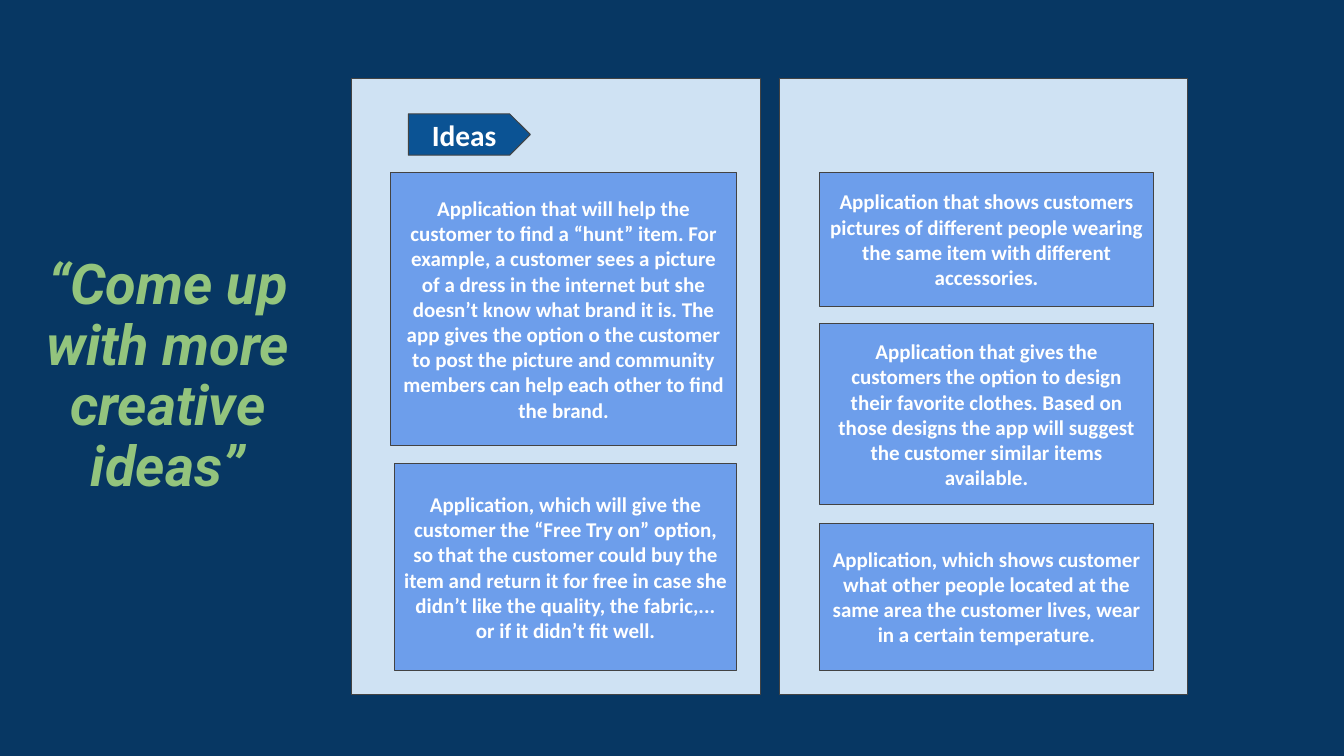
from pptx import Presentation
from pptx.dml.color import RGBColor
from pptx.enum.shapes import MSO_SHAPE as Shape
from pptx.enum.text import MSO_ANCHOR as Anchor, PP_ALIGN as Align
from pptx.util import Inches, Pt

NAVY = RGBColor(0x07, 0x37, 0x63)
PALE = RGBColor(0xCF, 0xE2, 0xF3)
BLUE = RGBColor(0x6D, 0x9E, 0xEB)
DEEP = RGBColor(0x0B, 0x53, 0x94)
GREY = RGBColor(0x43, 0x43, 0x43)
GREEN = RGBColor(0x93, 0xC4, 0x7D)
WHITE = RGBColor(0xFF, 0xFF, 0xFF)

deck = Presentation()
deck.slide_width, deck.slide_height = Inches(13.33), Inches(7.5)
slide = deck.slides.add_slide(deck.slide_layouts[6])
slide.background.fill.solid()
slide.background.fill.fore_color.rgb = NAVY


def write(shape, text, size=15, font="Calibri", color=WHITE, italic=False, space=1.0, inset=0.1):
    frame = shape.text_frame
    frame.word_wrap = True
    frame.vertical_anchor = Anchor.MIDDLE
    frame.margin_left = frame.margin_right = Inches(0.1)
    frame.margin_top = frame.margin_bottom = Inches(inset)
    para = frame.paragraphs[0]
    para.alignment = Align.CENTER
    para.line_spacing = space
    run = para.add_run()
    run.text = text
    run.font.size = Pt(size)
    run.font.name = font
    run.font.bold = True
    run.font.italic = italic
    run.font.color.rgb = color


def draw(kind, left, top, width, height, fill):
    shape = slide.shapes.add_shape(kind, Inches(left), Inches(top), Inches(width), Inches(height))
    shape.shadow.inherit = False
    shape.fill.solid()
    shape.fill.fore_color.rgb = fill
    shape.line.color.rgb = GREY
    shape.line.width = Pt(0.75)
    return shape


title = slide.shapes.add_textbox(Inches(0.28), Inches(1.23), Inches(2.77), Inches(5.03))
write(title, "“Come up with more creative ideas”", size=40, font="Roboto",
      color=GREEN, italic=True, space=0.9, inset=0.05)

for left in (3.49, 7.73):
    draw(Shape.RECTANGLE, left, 0.78, 4.05, 6.11, PALE)

ideas = [
    (3.87, 1.71, 3.44, 2.71,
     "Application that will help the customer to find a “hunt” item. For example, a customer "
     "sees a picture of a dress in the internet but she doesn’t know what brand it is. The app "
     "gives the option o the customer to post the picture and community members can help each "
     "other to find the brand."),
    (3.91, 4.6, 3.4, 2.05,
     "Application, which will give the customer the “Free Try on” option, so that the customer "
     "could buy the item and return it for free in case she didn’t like the quality, the "
     "fabric,... or if it didn’t fit well."),
    (8.13, 1.71, 3.31, 1.33,
     "Application that shows customers pictures of different people wearing the same item with "
     "different accessories."),
    (8.13, 3.21, 3.31, 1.8,
     "Application that gives the customers the option to design their favorite clothes. Based on "
     "those designs the app will suggest the customer similar items available."),
    (8.13, 5.19, 3.31, 1.46,
     "Application, which shows customer what other people located at the same area the customer "
     "lives, wear in a certain temperature."),
]
for left, top, width, height, text in ideas:
    write(draw(Shape.RECTANGLE, left, top, width, height, BLUE), text)

label = draw(Shape.PENTAGON, 4.05, 1.13, 1.21, 0.41, DEEP)
write(label, "Ideas", size=21)

deck.save("out.pptx")
